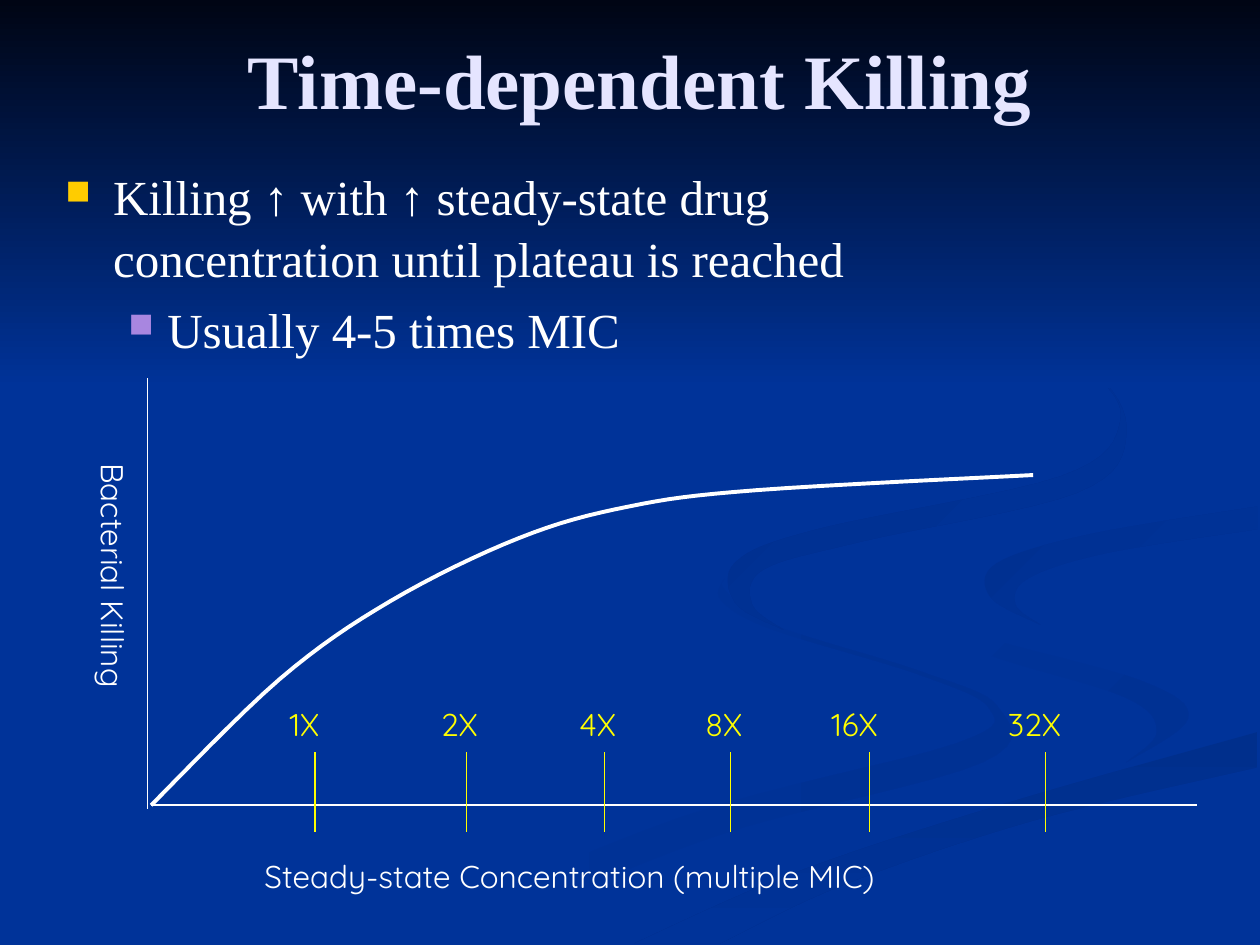
from dataclasses import dataclass

from lxml.etree import SubElement
from pptx import Presentation
from pptx.dml.color import RGBColor
from pptx.enum.shapes import MSO_CONNECTOR, MSO_SHAPE
from pptx.enum.text import MSO_ANCHOR, MSO_AUTO_SIZE, PP_ALIGN
from pptx.oxml.ns import qn
from pptx.util import Inches, Pt

COLORS = {
    "background": "003399", "night": "000514", "title": "E5E5FF",
    "text": "FFFFFF", "tick": "FFFF00", "bullet": "FFCC00",
    "sub_bullet": "A886E0", "wave_pale": "003193", "wave_mid": "003091",
    "wave_upper": "002F8E", "wave_deep": "002F8C",
}
SERIF, SANS = "Times New Roman", "Quicksand"
AXIS_Y = 6.39
Point = tuple[float, float]


@dataclass
class Wave:
    """A ribbon between two smooth edges that run the same way."""
    start: str
    end: str
    angle: int
    edge: list[Point]
    other_edge: list[Point]


@dataclass
class Tick:
    label: str
    x: float

    @property
    def label_box(self) -> tuple[float, ...]:
        wide = len(self.label) > 2
        left = self.x - (0.4 if wide else 0.3)
        return left, 5.55, 0.76 if wide else 0.59, 0.5


@dataclass
class Bullet:
    text: str
    color: str
    margin: float
    hanging: float
    level: int = 0


WAVES = [
    Wave("background", "wave_pale", 0,
         [(5.75, 4.59), (5.76, 4.69), (6.14, 4.96), (7.31, 5.33), (7.92, 5.61),
          (7.8, 6.05), (5.64, 6.65), (3.61, 7.49)],
         [(5.75, 4.59), (5.72, 4.76), (6.11, 4.99), (7.28, 5.35), (7.85, 5.62),
          (7.59, 5.9), (5.39, 6.49), (3, 7.49)]),
    Wave("background", "wave_pale", 45,
         [(7.24, 4.64), (7.58, 4.98), (9.05, 5.4), (9.43, 5.7), (8.94, 6.05)],
         [(7.24, 4.64), (7.66, 5.12), (8.92, 5.53), (9.18, 5.81), (8.94, 6.05)]),
    Wave("wave_deep", "background", 90,
         [(9.98, 5.81), (7.97, 6.38), (6.3, 6.93), (5.03, 7.49)],
         [(9.98, 6.09), (8.21, 6.51), (6.7, 7.02), (5.71, 7.49)]),
    Wave("wave_mid", "background", 45,
         [(9.98, 4.02), (8.65, 4.24), (7.91, 4.47), (7.86, 4.74), (8.26, 4.96)],
         [(9.98, 4.2), (8.78, 4.39), (8.16, 4.59), (8.06, 4.8), (8.26, 4.96)]),
    Wave("wave_upper", "background", 45,
         [(7.62, 2.33), (8.64, 2.91), (8.94, 3.44), (8.55, 3.91), (6.83, 4.3),
          (6.06, 4.52), (5.97, 4.8), (6.22, 5)],
         [(7.62, 2.33), (8.62, 2.92), (8.89, 3.35), (8.42, 3.78), (6.49, 4.2),
          (5.84, 4.46), (5.84, 4.79), (6.22, 5)]),
]
TICKS = [Tick("1X", 2.5), Tick("2X", 3.7), Tick("4X", 4.8),
         Tick("8X", 5.8), Tick("16X", 6.9), Tick("32X", 8.3)]
BULLETS = [
    Bullet("Killing ↑ with ↑ steady-state drug concentration until plateau is reached",
           "bullet", 0.38, 0.38),
    Bullet("Usually 4-5 times MIC", "sub_bullet", 0.81, 0.31, 1),
]
KILLING_CURVE = [(1.2, AXIS_Y), (2.22, 5.39), (3.1, 4.77), (4.12, 4.27),
                 (4.99, 4.02), (6.01, 3.89), (8.2, 3.77)]


def rgb(name: str) -> RGBColor:
    return RGBColor.from_string(COLORS[name])


def set_font(font, name: str, size: float, color: str) -> None:
    font.name, font.size = name, Pt(size)
    font.color.rgb = rgb(color)


def fill_gradient(sp, start: str, end: str, angle: int) -> None:
    """Fill from start to end; angle is clockwise in degrees."""
    sp.shadow.inherit = False
    sp.line.fill.background()
    sp.fill.gradient()
    sp.fill.gradient_angle = -angle % 360
    for stop, color in zip(sp.fill.gradient_stops, (start, end)):
        stop.color.rgb = rgb(color)


def smooth(knots: list[Point], steps: int = 8) -> list[Point]:
    """Points of a Catmull-Rom spline through the knots."""
    padded = [knots[0], *knots, knots[-1]]
    points = [knots[0]]
    for a, b, c, d in zip(padded, padded[1:], padded[2:], padded[3:]):
        for t in (n / steps for n in range(1, steps + 1)):
            points.append(tuple(
                q + t * ((r - p) + t * ((2 * p - 5 * q + 4 * r - u)
                                        + t * (3 * q - p - 3 * r + u))) / 2
                for p, q, r, u in zip(a, b, c, d)))
    return points


def add_outline(shapes, points: list[Point], close: bool):
    (x, y), *rest = [(Inches(x), Inches(y)) for x, y in points]
    builder = shapes.build_freeform(x, y)
    builder.add_line_segments(rest, close=close)
    return builder.convert_to_shape()


def add_wave(shapes, wave: Wave) -> None:
    outline = smooth(wave.edge) + smooth(wave.other_edge)[::-1]
    fill_gradient(add_outline(shapes, outline, close=True), wave.start, wave.end, wave.angle)


def add_line(shapes, start: Point, end: Point, color: str) -> None:
    line = shapes.add_connector(MSO_CONNECTOR.STRAIGHT, *map(Inches, start + end))
    line.line.color.rgb, line.line.width = rgb(color), Pt(0.75)
    SubElement(line._element.spPr, qn("a:effectLst"))


def add_label(shapes, text: str, box: tuple[float, ...], color: str):
    tf = shapes.add_textbox(*map(Inches, box)).text_frame
    tf.text = text
    tf.word_wrap, tf.auto_size = False, MSO_AUTO_SIZE.SHAPE_TO_FIT_TEXT
    set_font(tf.paragraphs[0].runs[0].font, SANS, 18, color)
    return tf


def add_bullets(shapes) -> None:
    tf = shapes.add_textbox(*map(Inches, (0.42, 1.25, 6.5, 5.42))).text_frame
    tf.word_wrap = True
    for i, bullet in enumerate(BULLETS):
        p = tf.add_paragraph() if i else tf.paragraphs[0]
        p.text, p.level, p.line_spacing = bullet.text, bullet.level, 1.05
        if i:
            p.space_before = Pt(5.6)
        pPr = p._p.get_or_add_pPr()
        pPr.set("marL", str(Inches(bullet.margin)))
        pPr.set("indent", str(-Inches(bullet.hanging)))
        SubElement(SubElement(pPr, qn("a:buClr")), qn("a:srgbClr"), val=COLORS[bullet.color])
        SubElement(pPr, qn("a:buSzPct"), val="70000")
        SubElement(pPr, qn("a:buChar"), char="■")
        set_font(p.runs[0].font, SERIF, 28, "text")


def format_title(title) -> None:
    title.left, title.top, title.width, title.height = map(Inches, (0.58, 0, 9, 1.25))
    tf = title.text_frame
    tf.text, tf.vertical_anchor = "Time-dependent Killing", MSO_ANCHOR.MIDDLE
    p = tf.paragraphs[0]
    p.alignment = PP_ALIGN.CENTER
    set_font(p.runs[0].font, SERIF, 44, "title")
    p.runs[0].font.bold = True


def add_graph(shapes) -> None:
    add_line(shapes, (1.17, 3), (1.17, 6.42), "text")
    add_line(shapes, (1.2, AXIS_Y), (9.5, AXIS_Y), "text")
    add_label(shapes, "Steady-state Concentration (multiple MIC)", (2, 6.75, 6.42, 0.5), "text")
    for tick in TICKS:
        add_line(shapes, (tick.x, 5.97), (tick.x, 6.6), "tick")
        add_label(shapes, tick.label, tick.label_box, "tick")
    tf = add_label(shapes, "Bacterial Killing", (0.5, 3.58, 0.6, 2.4), "text")
    tf._txBody.bodyPr.set("vert", "eaVert")
    curve = add_outline(shapes, smooth(KILLING_CURVE), close=False)
    curve.shadow.inherit = False
    curve.fill.background()
    curve.line.color.rgb, curve.line.width = rgb("text"), Pt(2.25)


def main() -> None:
    prs = Presentation()
    prs.slide_width, prs.slide_height = Inches(10), Inches(7.5)
    s = prs.slides.add_slide(prs.slide_layouts[5])
    s.background.fill.solid()
    s.background.fill.fore_color.rgb = rgb("background")
    for wave in WAVES:
        add_wave(s.shapes, wave)
    sky = s.shapes.add_shape(MSO_SHAPE.RECTANGLE, 0, 0, Inches(10), Inches(3.08))
    fill_gradient(sky, "night", "background", 90)
    title = s.shapes.title
    format_title(title)
    s.shapes._spTree.append(title._element)  # in front of the backdrop
    add_bullets(s.shapes)
    add_graph(s.shapes)
    prs.save("out.pptx")


if __name__ == "__main__":
    main()
